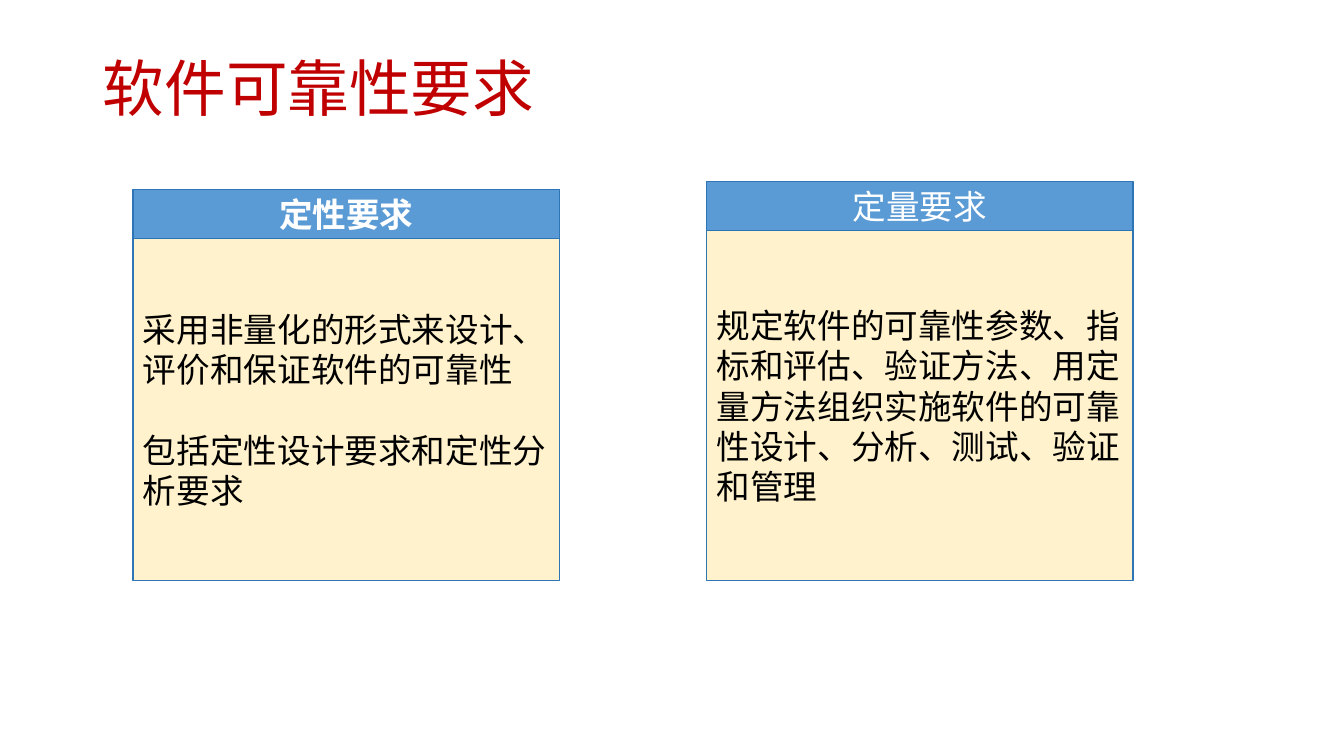
from dataclasses import dataclass

from pptx import Presentation
from pptx.dml.color import RGBColor
from pptx.enum.shapes import MSO_AUTO_SHAPE_TYPE as Preset
from pptx.enum.text import MSO_ANCHOR as Anchor, PP_ALIGN as Align
from pptx.util import Inches, Pt


@dataclass(frozen=True)
class Theme:
    accent: str = "C00000"
    header: str = "5B9BD5"
    panel: str = "FFF2CC"
    border: str = "2E75B6"
    light: str = "FFFFFF"
    dark: str = "000000"
    title_font: str = "Calibri"
    body_font: str = "Times New Roman"
    title_size: int = 44
    body_size: int = 24
    paragraph_gap: float = 28.8


def write(frame, *texts, font, size, color, bold=False, align=Align.LEFT, gap=0, line_spacing=None):
    frame.word_wrap = True
    frame.vertical_anchor = Anchor.MIDDLE
    for index, text in enumerate(texts):
        paragraph = frame.add_paragraph() if index else frame.paragraphs[0]
        paragraph.alignment = align
        paragraph.space_before = Pt(gap if index else 0)
        if line_spacing:
            paragraph.line_spacing = line_spacing
        run = paragraph.add_run()
        run.text = text
        run.font.name = font
        run.font.size = Pt(size)
        run.font.bold = bold
        run.font.color.rgb = RGBColor.from_string(color)


class SlideBuilder:
    """Places styled elements on one slide using a grid of 75 rows of square cells."""

    def __init__(self, presentation, theme):
        self.theme = theme
        self.cell = presentation.slide_height / 75
        self.slide = presentation.slides.add_slide(presentation.slide_layouts[5])

    def cells(self, *counts):
        return [round(count * self.cell) for count in counts]

    def title(self, text, *area):
        shape = self.slide.shapes.title
        shape.left, shape.top, shape.width, shape.height = self.cells(*area)
        write(shape.text_frame, text, font=self.theme.title_font, size=self.theme.title_size,
              color=self.theme.accent, line_spacing=0.9)

    def box(self, texts, area, fill, color, **text_format):
        shape = self.slide.shapes.add_shape(Preset.RECTANGLE, *self.cells(*area))
        shape.shadow.inherit = False
        shape.fill.solid()
        shape.fill.fore_color.rgb = RGBColor.from_string(fill)
        shape.line.color.rgb = RGBColor.from_string(self.theme.border)
        shape.line.width = Pt(1)
        write(shape.text_frame, *texts, font=self.theme.body_font, size=self.theme.body_size,
              color=color, **text_format)

    def card(self, heading, texts, column, row, bold=False, width=42.3, header_rows=4.87, bottom=57.6):
        body_row = row + header_rows
        self.box([heading], (column, row, width, header_rows), self.theme.header, self.theme.light,
                 bold=bold, align=Align.CENTER)
        self.box(texts, (column, body_row, width, bottom - body_row), self.theme.panel, self.theme.dark,
                 gap=self.theme.paragraph_gap)


def main():
    presentation = Presentation()
    presentation.slide_width, presentation.slide_height = Inches(13.33), Inches(7.5)
    builder = SlideBuilder(presentation, Theme())
    builder.title("软件可靠性要求", 9.2, 4, 115, 10.2)
    builder.card("定性要求", ["采用非量化的形式来设计、评价和保证软件的可靠性", "包括定性设计要求和定性分析要求"],
                 column=13.2, row=18.8, bold=True)
    builder.card("定量要求", ["规定软件的可靠性参数、指标和评估、验证方法、用定量方法组织实施软件的可靠性设计、分析、测试、验证和管理"],
                 column=70.1, row=18)
    presentation.save("out.pptx")


if __name__ == "__main__":
    main()
